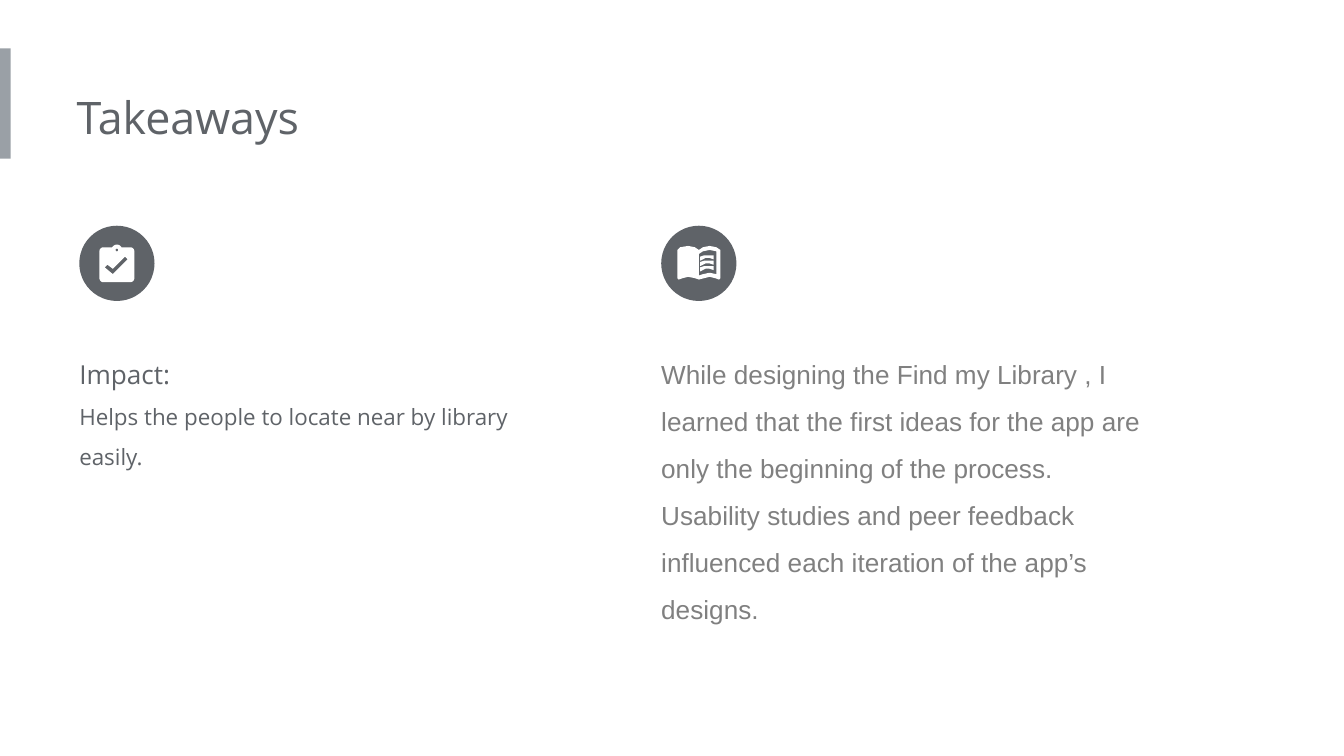
from dataclasses import dataclass
from math import cos, radians, sin

from pptx import Presentation
from pptx.dml.color import RGBColor
from pptx.enum.shapes import MSO_SHAPE
from pptx.enum.text import MSO_ANCHOR, MSO_AUTO_SIZE, PP_ALIGN
from pptx.util import Inches, Pt

RECTANGLE = MSO_SHAPE.RECTANGLE
OVAL = MSO_SHAPE.OVAL
TOP = MSO_ANCHOR.TOP
LEFT = PP_ALIGN.LEFT
GROW = MSO_AUTO_SIZE.SHAPE_TO_FIT_TEXT

COLORS = {"accent": "9AA0A6", "dark": "5F6368", "body": "808080", "white": "FFFFFF"}
SLIDE_WIDTH = 10
SLIDE_HEIGHT = SLIDE_WIDTH * 9 / 16
BADGE_TOP, BADGE_SIZE = 1.68, 0.56
RULE_COUNT, RULE_PITCH = 3, 0.04

Point = tuple[float, float]
Contour = list[Point]


@dataclass(frozen=True)
class Line:
    text: str
    size: int
    font: str = "Open Sans"
    color: str = "dark"


@dataclass(frozen=True)
class TextBlock:
    left: float
    top: float
    width: float
    height: float
    lines: tuple[Line, ...]
    line_spacing: float = 1.5


TITLE = TextBlock(0.57, 0.57, 5.39, 0.61, (Line("Takeaways", 24),), 1.0)
COLUMNS = (
    TextBlock(0.59, 2.45, 3.77, 1.16, (
        Line("Impact:", 14),
        Line("Helps the people to locate near by library easily.", 12),
    )),
    TextBlock(4.92, 2.45, 3.77, 2.32, (
        Line("While designing the Find my Library , I learned that the first ideas "
             "for the app are only the beginning of the process. Usability studies "
             "and peer feedback influenced each iteration of the app’s designs.",
             14, "Arial", "body"),
    )),
)


def arc(x: float, y: float, radius: float, start: int, end: int) -> Contour:
    """Return points clockwise around a centre, one every 15 degrees."""
    return [(x + radius * cos(radians(angle)), y + radius * sin(radians(angle)))
            for angle in range(start, end + 1, 15)]


CLIPBOARD: list[Contour] = [
    arc(0.77, 1.87, 0.03, 180, 270) + arc(0.87, 1.86, 0.04, 210, 330)
    + arc(0.97, 1.87, 0.03, 270, 360) + arc(0.97, 2.07, 0.03, 0, 90)
    + arc(0.77, 2.07, 0.03, 90, 180),
    arc(0.87, 1.86, 0.01, 0, 345),
    [(0.84, 2.04), (0.78, 1.99), (0.8, 1.97), (0.84, 2.0), (0.93, 1.91), (0.95, 1.93)],
]
BOOK: list[Contour] = [
    [(5.04, 1.86), (5.06, 1.84), (5.12, 1.83), (5.17, 1.84), (5.2, 1.86),
     (5.23, 1.84), (5.28, 1.83), (5.33, 1.84), (5.36, 1.86), (5.36, 2.07),
     (5.35, 2.08), (5.32, 2.07), (5.28, 2.06), (5.24, 2.07), (5.2, 2.08),
     (5.17, 2.07), (5.12, 2.06), (5.08, 2.07), (5.05, 2.08), (5.04, 2.07)],
    [(5.2, 1.89), (5.23, 1.87), (5.28, 1.86), (5.33, 1.87), (5.33, 2.04),
     (5.28, 2.03), (5.23, 2.04), (5.2, 2.05)],
]
PAGE_RULE: Contour = [
    (5.21, 1.91), (5.24, 1.9), (5.27, 1.9), (5.31, 1.9), (5.31, 1.93),
    (5.28, 1.92), (5.25, 1.92), (5.21, 1.94),
]


def style_shape(shape, color: str) -> None:
    shape.shadow.inherit = False
    shape.fill.solid()
    shape.fill.fore_color.rgb = RGBColor.from_string(COLORS[color])
    shape.line.fill.background()


def add_preset(slide, kind, left: float, top: float, width: float, height: float,
               color: str) -> None:
    shape = slide.shapes.add_shape(
        kind, Inches(left), Inches(top), Inches(width), Inches(height))
    style_shape(shape, color)


def add_outline(shapes, contours: list[Contour]) -> None:
    """Draw closed contours as one white shape; inner contours become holes."""
    scaled = [[(Inches(x), Inches(y)) for x, y in contour] for contour in contours]
    builder = shapes.build_freeform(*scaled[0][0])
    builder.add_line_segments(scaled[0][1:], close=True)
    for contour in scaled[1:]:
        builder.move_to(*contour[0])
        builder.add_line_segments(contour[1:], close=True)
    style_shape(builder.convert_to_shape(), "white")


def add_text(slide, block: TextBlock) -> None:
    box = slide.shapes.add_textbox(
        Inches(block.left), Inches(block.top), Inches(block.width), Inches(block.height))
    frame = box.text_frame
    frame.text = "\n".join(line.text for line in block.lines)
    frame.word_wrap = True
    frame.auto_size = GROW
    frame.vertical_anchor = TOP
    frame.margin_left = 0
    frame.margin_top = frame.margin_right = frame.margin_bottom = Inches(0.1)
    for paragraph, line in zip(frame.paragraphs, block.lines):
        paragraph.alignment = LEFT
        paragraph.line_spacing = block.line_spacing
        font = paragraph.runs[0].font
        font.name = line.font
        font.size = Pt(line.size)
        font.color.rgb = RGBColor.from_string(COLORS[line.color])


def main() -> None:
    presentation = Presentation()
    presentation.slide_width = Inches(SLIDE_WIDTH)
    presentation.slide_height = Inches(SLIDE_HEIGHT)
    slide = presentation.slides.add_slide(presentation.slide_layouts[6])

    add_preset(slide, RECTANGLE, 0, 0.36, 0.08, 0.82, "accent")
    add_text(slide, TITLE)
    for column in COLUMNS:
        add_text(slide, column)
        add_preset(slide, OVAL, column.left, BADGE_TOP, BADGE_SIZE, BADGE_SIZE, "dark")

    add_outline(slide.shapes, CLIPBOARD)
    book = slide.shapes.add_group_shape()
    add_outline(book.shapes, BOOK)
    for index in range(RULE_COUNT):
        add_outline(book.shapes, [[(x, y + index * RULE_PITCH) for x, y in PAGE_RULE]])

    presentation.save("out.pptx")


if __name__ == "__main__":
    main()
